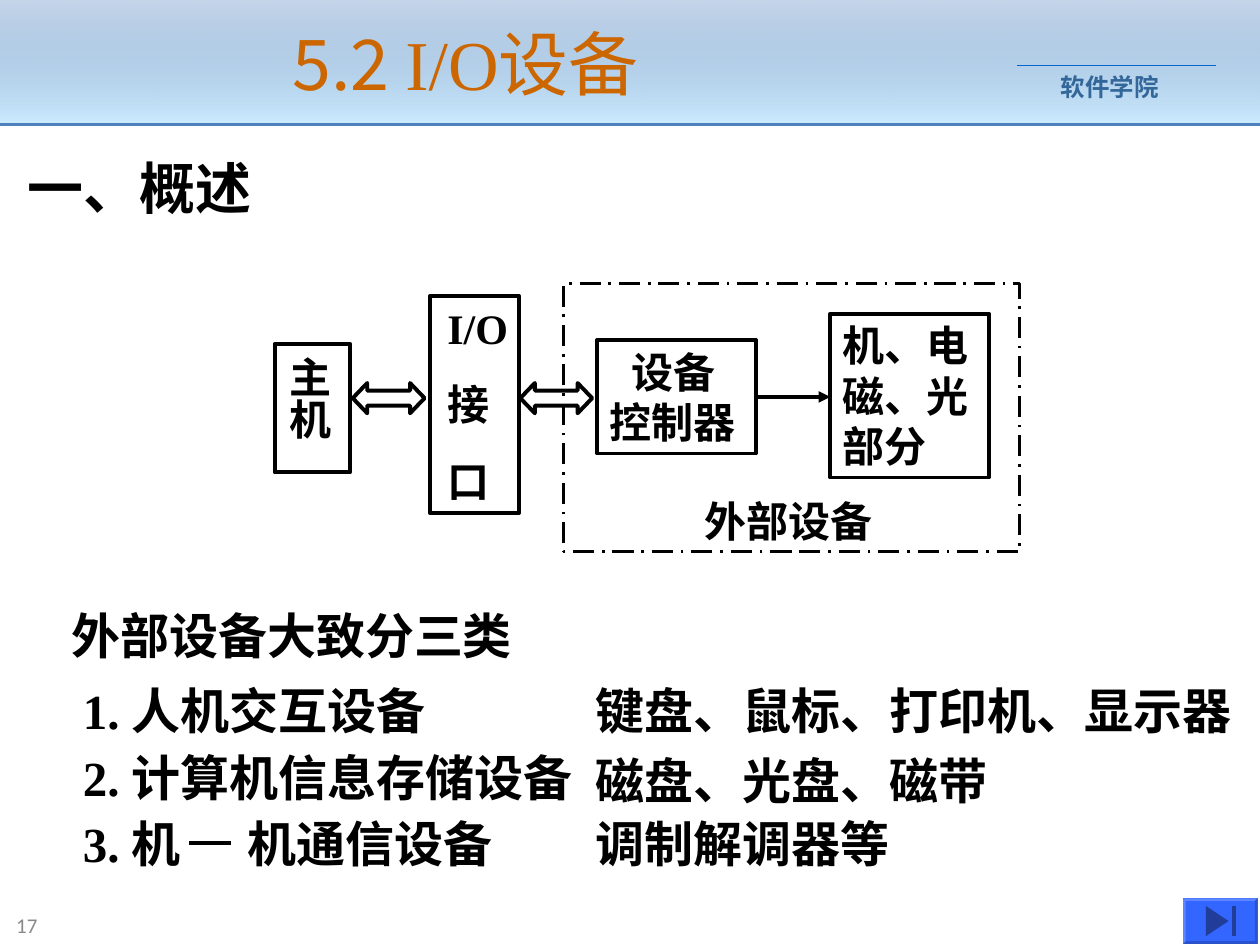
"""Builds the I/O device overview slide."""
import dataclasses

import pptx
import pptx.dml.color
import pptx.enum.dml
import pptx.enum.shapes
import pptx.enum.text
import pptx.oxml
import pptx.oxml.ns
import pptx.util

Inches = pptx.util.Inches
SHAPES = pptx.enum.shapes.MSO_SHAPE
ALIGN = pptx.enum.text.PP_ALIGN
MIDDLE = pptx.enum.text.MSO_ANCHOR.MIDDLE


@dataclasses.dataclass(frozen=True)
class Theme:
    """Colours, fonts and type sizes of the slide."""
    ink: str = "000000"
    title: str = "CC6600"
    school: str = "336699"
    school_rule: str = "0066CC"
    banner: str = "4F81BD"
    banner_end: str = "CCECFF"
    number: str = "898989"
    button: str = "3366FF"
    button_light: str = "5C85FF"
    button_dark: str = "2952CC"
    button_icon: str = "1F3D99"
    serif: str = "Times New Roman"
    sans: str = "Noto Sans CJK SC"
    title_size: int = 40
    heading_size: int = 32
    list_size: int = 28
    diagram_size: int = 24
    school_size: int = 14
    number_size: int = 12


THEME = Theme()


def rgb(code):
    """Turn a hex code into a colour."""
    return pptx.dml.color.RGBColor.from_string(code)


def drawing(tag, **attributes):
    """Make one DrawingML element."""
    element = pptx.oxml.parse_xml(f"<a:{tag} {pptx.oxml.ns.nsdecls('a')}/>")
    for key, value in attributes.items():
        element.set(key, str(value))
    return element


def add_run(paragraph, text, size, color=THEME.ink, font=THEME.serif, bold=True):
    """Append one styled run."""
    run = paragraph.add_run()
    run.text = text
    run.font.size = pptx.util.Pt(size)
    run.font.bold = bold
    run.font.name = font
    run.font.color.rgb = rgb(color)
    run.font._element.append(drawing("ea", typeface=THEME.sans))


def write(shape, lines, size, insets=(0.1, 0.05, 0.1, 0.05), gap=0, anchor=None, **style):
    """Fill a shape with left-aligned lines and return its paragraphs."""
    frame = shape.text_frame
    frame.word_wrap = True
    frame.vertical_anchor = anchor or pptx.enum.text.MSO_ANCHOR.TOP
    frame.margin_left, frame.margin_top, frame.margin_right, frame.margin_bottom = map(Inches, insets)
    for index, line in enumerate(lines):
        paragraph = frame.add_paragraph() if index else frame.paragraphs[0]
        paragraph.alignment = ALIGN.LEFT
        if index and gap:
            paragraph.space_before = pptx.util.Pt(gap)
        add_run(paragraph, line, size, **style)
    return frame.paragraphs


def add_label(slide, box, text, size, **style):
    """Add a one-line text box and return its paragraph."""
    label = slide.shapes.add_textbox(*map(Inches, box))
    return write(label, [text], size, **style)[0]


def add_outline(slide, kind, box, width=2.25):
    """Add an unfilled black outline."""
    outline = slide.shapes.add_shape(kind, *map(Inches, box))
    outline.shadow.inherit = False
    outline.fill.background()
    outline.line.color.rgb = rgb(THEME.ink)
    outline.line.width = pptx.util.Pt(width)
    return outline


def add_line(slide, start, end, color=THEME.ink, width=2.25):
    """Add a straight line without shadow."""
    line = slide.shapes.add_connector(
        pptx.enum.shapes.MSO_CONNECTOR.STRAIGHT, *map(Inches, (*start, *end)))
    line.line.color.rgb = rgb(color)
    line.line.width = pptx.util.Pt(width)
    line._element.spPr.append(drawing("effectLst"))
    return line


def add_banner(slide, box):
    """Draw the header band with title and school name."""
    x, y, w, h = box
    band = slide.shapes.add_shape(SHAPES.RECTANGLE, *map(Inches, box))
    band.shadow.inherit = False
    band.line.fill.background()
    band.fill.gradient()
    band.fill.gradient_angle = 270
    for stop, position, color in zip(band.fill.gradient_stops, (0, 1), (THEME.banner, THEME.banner_end)):
        stop.position = position
        stop.color.rgb = rgb(color)
    band._element.spPr.xpath(".//a:gs/a:srgbClr")[0].append(drawing("alpha", val=32000))
    add_label(slide, (x + 8.42, y + 0.52, 1.54, 0.34), "软件学院", THEME.school_size,
              insets=(0, 0.05, 0, 0.05), color=THEME.school, font="Arial")
    add_line(slide, (x + 8.07, y + 0.52), (x + 9.65, y + 0.52), THEME.school_rule, 0.75)
    add_line(slide, (x, y + h), (x + w, y + h), THEME.banner, 1.5)
    title = add_label(slide, (x + 0.27, y, 6.85, h), "5.2 ", THEME.title_size, anchor=MIDDLE,
                      color=THEME.title, font=THEME.sans, bold=False)
    title.alignment = ALIGN.CENTER
    add_run(title, "I/O", THEME.title_size, THEME.title, THEME.serif, False)
    add_run(title, "设备", THEME.title_size, THEME.title, THEME.sans, False)


def add_diagram(slide, box):
    """Draw host, interface and external device with their links."""
    x, y, w, h = box
    size = THEME.diagram_size
    host = add_outline(slide, SHAPES.RECTANGLE, (x, y + 0.48, 0.6, 1.02))
    write(host, ["主机"], size, (0.05, 0.1, 0.13, 0.1))[0].alignment = ALIGN.CENTER
    host.text_frame._txBody.bodyPr.set("vert", "eaVert")
    controller = add_outline(slide, SHAPES.RECTANGLE, (x + 2.56, y + 0.45, 1.26, 0.9))
    first_line = write(controller, ["设备", "控制器"], size)[0]
    first_line._p.get_or_add_pPr().set("marL", str(Inches(0.17)))
    mechanism = add_outline(slide, SHAPES.RECTANGLE, (x + 4.41, y + 0.24, 1.26, 1.3))
    write(mechanism, ["机、电", "磁、光", "部分"], size)
    interface = add_outline(slide, SHAPES.RECTANGLE, (x + 1.23, y + 0.1, 0.71, 1.72))
    write(interface, ["I/O", "接", "口"], size, (0.14, 0.05, 0.06, 0.05), gap=15)
    device = add_outline(slide, SHAPES.RECTANGLE, (x + 2.29, y, w - 2.29, h), 1.5)
    device.line.dash_style = pptx.enum.dml.MSO_LINE.LONG_DASH_DOT
    add_label(slide, (x + 3.31, y + 1.63, 2.28, 0.5), "外部设备", size)
    drive = add_line(slide, (x + 3.82, y + 0.9), (x + 4.41, y + 0.9))
    drive.line._get_or_add_ln().append(drawing("tailEnd", type="triangle"))
    for left in (0.62, 1.95):
        link = add_outline(slide, SHAPES.LEFT_RIGHT_ARROW, (x + left, y + 0.79, 0.57, 0.24))
        link.adjustments[0], link.adjustments[1] = 0.5, 0.48


def add_categories(slide, box):
    """List the three device classes beside their examples."""
    x, y, w, h = box
    size = THEME.list_size
    add_label(slide, (x, y, 4.83, 0.57), "外部设备大致分三类", size)
    rows = (
        ("1. 人机交互设备", 0.59, "键盘、鼠标、打印机、显示器", 0.59),
        ("2. 计算机信息存储设备", 1.12, "磁盘、光盘、磁带", 1.15),
        ("3. 机\t机通信设备", 1.65, "调制解调器等", 1.65),
    )
    for category, category_top, examples, examples_top in rows:
        entry = add_label(slide, (x + 0.09, y + category_top, 4.58, 0.57), category, size)
        add_label(slide, (x + 4.16, y + examples_top, w - 4.16, 0.57), examples, size)
    tabs = drawing("tabLst")
    tabs.append(drawing("tab", pos=Inches(1.31), algn="l"))
    entry._p.get_or_add_pPr().append(tabs)
    add_line(slide, (x + 1.03, y + 1.93), (x + 1.36, y + 1.93))


def add_end_button(slide, box):
    """Draw the bevelled button with its skip-to-end sign."""
    x, y, w, h = box
    rim = 0.02
    outer = [(0, 0), (w, 0), (w, h), (0, h)]
    inner = [(rim, rim), (w - rim, rim), (w - rim, h - rim), (rim, h - rim)]
    facets = [(outer, THEME.button)]
    shades = (THEME.button_light, THEME.button_dark, THEME.button_dark, THEME.button_light)
    for side, shade in enumerate(shades):
        after = (side + 1) % 4
        facets.append(([outer[side], outer[after], inner[after], inner[side]], shade))
    facets.append(([(0.36, h / 2), (0.18, 0.3), (0.18, 0.06)], THEME.button_icon))
    facets.append(([(0.39, 0.06), (0.42, 0.06), (0.42, 0.3), (0.39, 0.3)], THEME.button_icon))
    for points, color in facets:
        corners = [(Inches(x + dx), Inches(y + dy)) for dx, dy in points]
        builder = slide.shapes.build_freeform(*corners[0])
        builder.add_line_segments(corners[1:], close=True)
        facet = builder.convert_to_shape()
        facet.shadow.inherit = False
        facet.fill.solid()
        facet.fill.fore_color.rgb = rgb(color)
        facet.line.fill.background()


def main():
    """Build and save the slide."""
    deck = pptx.Presentation()
    deck.slide_width, deck.slide_height = Inches(10), Inches(7.5)
    slide = deck.slides.add_slide(deck.slide_layouts[6])
    add_banner(slide, (0, 0, 10, 0.99))
    add_label(slide, (0.03, 7.18, 2.21, 0.32), "17", THEME.number_size, anchor=MIDDLE,
              color=THEME.number, font="Calibri", bold=False)
    add_label(slide, (0.12, 1.17, 2.58, 0.64), "一、概述", THEME.heading_size)
    add_diagram(slide, (2.18, 2.25, 5.91, 2.13))
    add_categories(slide, (0.47, 4.76, 9.53, 2.22))
    add_end_button(slide, (9.39, 7.13, 0.59, 0.36))
    deck.save("out.pptx")


if __name__ == "__main__":
    main()
